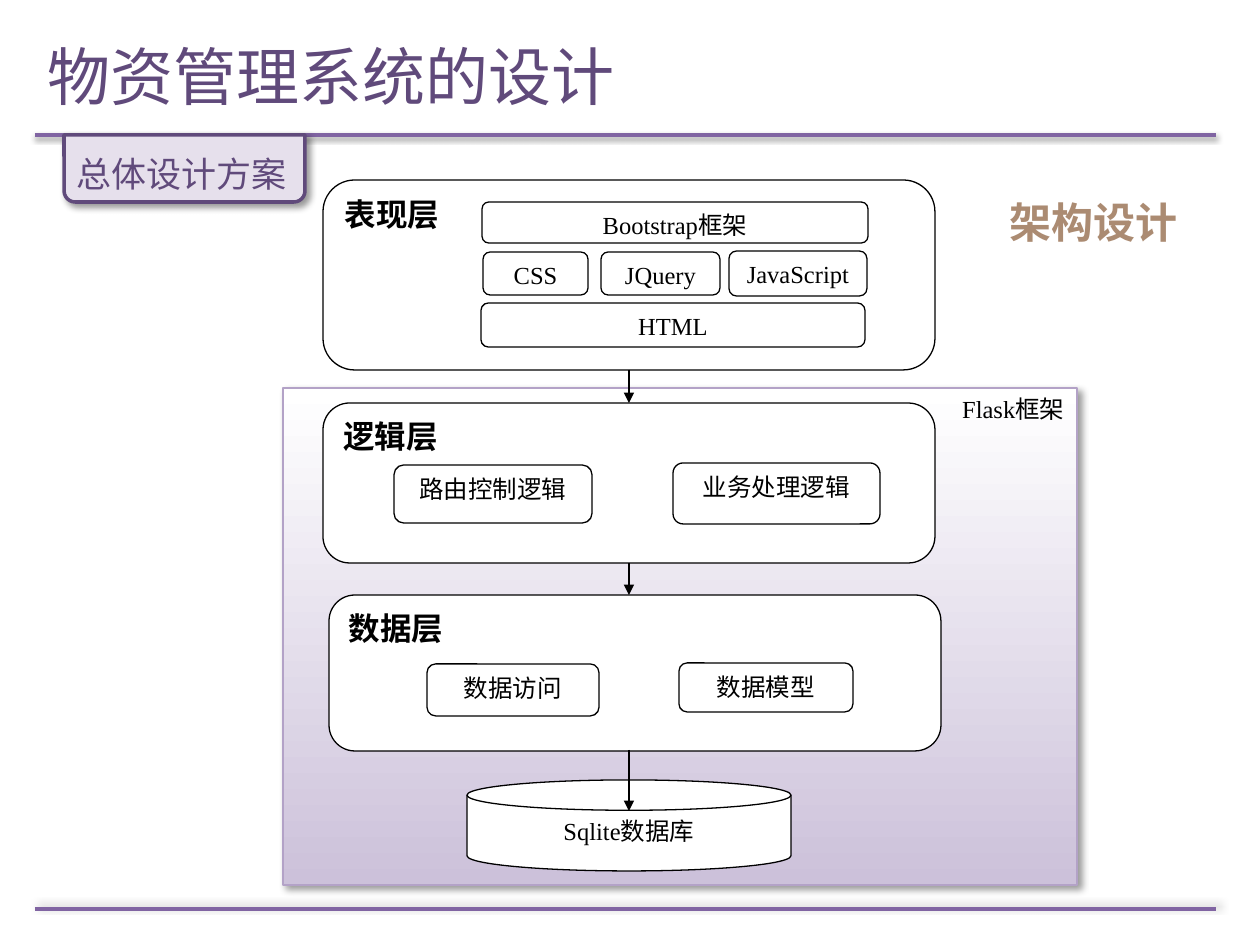
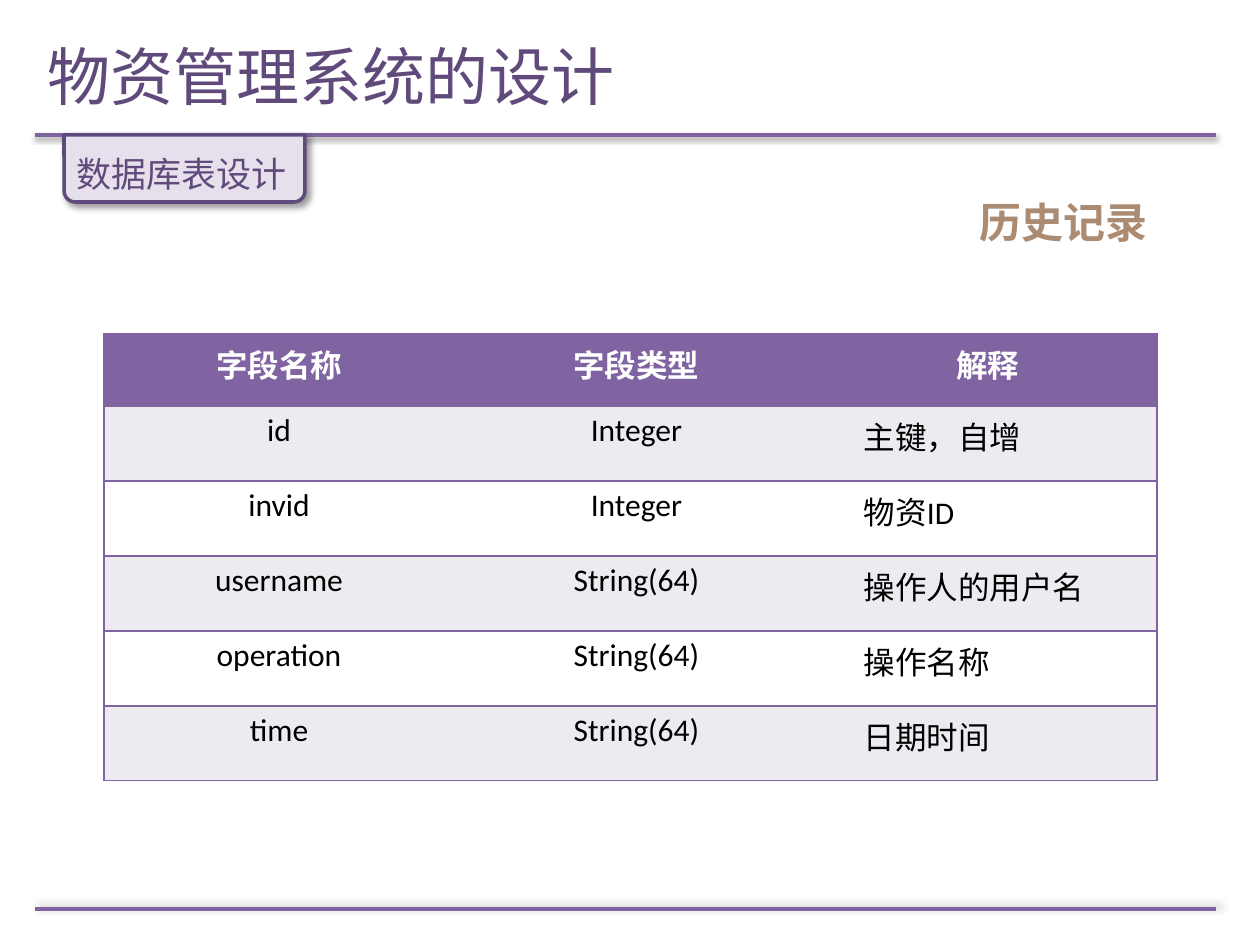
from lxml.etree import SubElement
from pptx import Presentation
from pptx.dml.color import RGBColor
from pptx.enum.shapes import MSO_CONNECTOR, MSO_SHAPE
from pptx.enum.text import MSO_ANCHOR, PP_ALIGN
from pptx.oxml.ns import qn
from pptx.util import Pt

EMU_PER_PX = 914400 / 126

PURPLE = RGBColor(0x80, 0x64, 0xA2)
DARK_PURPLE = RGBColor(0x60, 0x4A, 0x7B)
SOFT_PURPLE = RGBColor(0xB3, 0xA2, 0xC7)
LIGHT_PURPLE = RGBColor(0xCC, 0xC1, 0xDA)
PALE_PURPLE = RGBColor(0xE6, 0xE0, 0xEC)
BAND = RGBColor(0xED, 0xEA, 0xF0)
TAN = RGBColor(0xAB, 0x8B, 0x72)
BLACK = RGBColor(0, 0, 0)
WHITE = RGBColor(255, 255, 255)

CHINESE = "Noto Sans CJK SC"
SERIF = "Times New Roman"
SANS = "Calibri"

# Blur and distance in points, direction in degrees, opacity in percent
RULE_SHADOW = (3.1, 1.6, 90, 38)
FOOTER_SHADOW = (4, 3, 315, 40)
BOX_SHADOW = (4, 3, 45, 40)

FIELDS = [
    ("字段名称", "字段类型", "解释"),
    ("id", "Integer", "主键，自增"),
    ("invid", "Integer", "物资ID"),
    ("username", "String(64)", "操作人的用户名"),
    ("operation", "String(64)", "操作名称"),
    ("time", "String(64)", "日期时间"),
]


def px(length):
    return round(length * EMU_PER_PX)


def set_shadow(shape, shadow=None):
    """Replace the theme's shadow by the given one, or by none."""
    effects = SubElement(shape._element.spPr, qn("a:effectLst"))
    if shadow:
        blur, distance, direction, opacity = shadow
        outer = SubElement(effects, qn("a:outerShdw"), blurRad=str(Pt(blur)), dist=str(Pt(distance)),
                           dir=str(direction * 60000), algn="ctr", rotWithShape="0")
        color = SubElement(outer, qn("a:srgbClr"), val=str(BLACK))
        SubElement(color, qn("a:alpha"), val=str(opacity * 1000))


def set_border(cell, side, color):
    """Draw one side (L, R, T or B) of a cell; no colour means no line."""
    line = SubElement(cell._tc.get_or_add_tcPr(), qn(f"a:ln{side}"), w=str(Pt(1)))
    if color is None:
        SubElement(line, qn("a:noFill"))
    else:
        SubElement(SubElement(line, qn("a:solidFill")), qn("a:srgbClr"), val=str(color))


class Deck:
    def __init__(self):
        self.presentation = Presentation()
        self.presentation.slide_width = px(1260)
        self.presentation.slide_height = px(945)
        self.slide = None

    def add_slide(self, title, section, topic, topic_left):
        self.slide = self.presentation.slides.add_slide(self.presentation.slide_layouts[6])
        title_box = self.text(title, 35, 16, 1134, 118, 36, CHINESE, DARK_PURPLE)
        title_box.text_frame.vertical_anchor = MSO_ANCHOR.MIDDLE
        for y, shadow in ((135, RULE_SHADOW), (909, FOOTER_SHADOW)):
            self.line(35, y, 1216, y, PURPLE, 2, shadow)
        tab = self.box(MSO_SHAPE.ROUND_2_SAME_RECTANGLE, 64, 135, 241, 67,
                       PALE_PURPLE, DARK_PURPLE, 2, BOX_SHADOW)
        tab.rotation = 180
        section_box = self.text(section, 64, 125, 292, 77, 20, "Arial", DARK_PURPLE)
        section_box.text_frame.paragraphs[0].line_spacing = 1.5
        self.text(topic, topic_left, 190, 250, 63, 24, SANS, TAN, bold=True)

    def set_text(self, text_frame, text, size, font_name, color, bold=False, align=PP_ALIGN.LEFT):
        text_frame.text = text
        text_frame.word_wrap = True
        paragraph = text_frame.paragraphs[0]
        paragraph.alignment = align
        font = paragraph.font
        font.size, font.name, font.bold = Pt(size), font_name, bold
        font.color.rgb = color
        SubElement(paragraph._p.pPr.find(qn("a:defRPr")), qn("a:ea"), typeface=CHINESE)
        return paragraph

    def text(self, text, left, top, width, height, size, font_name, color, bold=False):
        text_box = self.slide.shapes.add_textbox(px(left), px(top), px(width), px(height))
        self.set_text(text_box.text_frame, text, size, font_name, color, bold)
        return text_box

    def box(self, preset, left, top, width, height,
            fill=WHITE, line=BLACK, line_width=0.75, shadow=None):
        shape = self.slide.shapes.add_shape(preset, px(left), px(top), px(width), px(height))
        shape.fill.solid()
        shape.fill.fore_color.rgb = fill
        shape.line.color.rgb = line
        shape.line.width = Pt(line_width)
        set_shadow(shape, shadow)
        return shape

    def label(self, shape, text, size=14, bold=False, align=PP_ALIGN.CENTER):
        self.set_text(shape.text_frame, text, size, SERIF, BLACK, bold, align)
        shape.text_frame.vertical_anchor = MSO_ANCHOR.TOP

    def framework(self, text, left, top, width, height):
        """Add the shaded panel that holds the layers run by one framework."""
        panel = self.box(MSO_SHAPE.RECTANGLE, left, top, width, height,
                         line=SOFT_PURPLE, line_width=1, shadow=BOX_SHADOW)
        panel.fill.gradient()
        panel.fill.gradient_angle = 270
        for stop, position, color in zip(panel.fill.gradient_stops, (0, 1), (WHITE, LIGHT_PURPLE)):
            stop.position = position
            stop.color.rgb = color
        self.label(panel, text, align=PP_ALIGN.RIGHT)

    def layer(self, text, left, top, height):
        shape = self.box(MSO_SHAPE.ROUNDED_RECTANGLE, left, top, 612, height)
        self.label(shape, text, 18, True, PP_ALIGN.JUSTIFY)
        return shape

    def module(self, text, left, top, width, height):
        self.label(self.box(MSO_SHAPE.ROUNDED_RECTANGLE, left, top, width, height), text)

    def line(self, x1, y1, x2, y2, color, width, shadow=None):
        connector = self.slide.shapes.add_connector(
            MSO_CONNECTOR.STRAIGHT, px(x1), px(y1), px(x2), px(y2))
        connector.line.color.rgb = color
        connector.line.width = Pt(width)
        set_shadow(connector, shadow)
        return connector

    def arrow(self, x, top, bottom):
        connector = self.line(x, top, x, bottom, BLACK, 0.75)
        SubElement(connector._element.spPr.find(qn("a:ln")), qn("a:tailEnd"), type="triangle")
        return connector

    def table(self, rows, left, top, column_widths, row_heights):
        table = self.slide.shapes.add_table(
            len(rows), len(column_widths), px(left), px(top),
            px(sum(column_widths)), px(sum(row_heights))).table
        table.horz_banding = False
        for column, width in zip(table.columns, column_widths):
            column.width = px(width)
        for row, height in zip(table.rows, row_heights):
            row.height = px(height)
        last = len(column_widths) - 1
        for i, texts in enumerate(rows):
            header = i == 0
            fill = PURPLE if header else BAND if i % 2 else WHITE
            for j, text in enumerate(texts):
                cell = table.cell(i, j)
                set_border(cell, "L", PURPLE if j == 0 else None)
                set_border(cell, "R", PURPLE if j == last else None)
                set_border(cell, "T", PURPLE)
                set_border(cell, "B", PURPLE)
                cell.fill.solid()
                cell.fill.fore_color.rgb = fill
                cell.margin_left = cell.margin_right = px(9)
                cell.margin_top = cell.margin_bottom = 0
                explanation = j == last and not header
                paragraph = self.set_text(
                    cell.text_frame, text, 18, SANS, WHITE if header else BLACK, header,
                    PP_ALIGN.JUSTIFY if explanation else PP_ALIGN.CENTER)
                paragraph.line_spacing = 1.15
                paragraph.space_after = Pt(6)
                if explanation:
                    paragraph._p.pPr.set("marL", str(px(36)))


def add_architecture(deck):
    deck.add_slide("物资管理系统的设计", "总体设计方案", "架构设计", 997)
    deck.framework("Flask框架", 283, 388, 794, 497)
    view_layer = deck.layer("表现层", 323, 180, 190)
    logic_layer = deck.layer("逻辑层", 323, 403, 160)
    deck.layer("数据层", 329, 595, 156)
    for module in (
        ("Bootstrap框架", 482, 202, 386, 41),
        ("CSS", 483, 252, 105, 43),
        ("JQuery", 601, 252, 119, 43),
        ("JavaScript", 729, 251, 138, 45),
        ("HTML", 481, 303, 384, 44),
        ("路由控制逻辑", 394, 465, 198, 58),
        ("业务处理逻辑", 673, 463, 207, 61),
        ("数据访问", 427, 664, 172, 52),
        ("数据模型", 679, 663, 174, 49),
    ):
        deck.module(*module)
    database = deck.box(MSO_SHAPE.FLOWCHART_MAGNETIC_DISK, 467, 780, 324, 91)
    deck.label(database, "Sqlite数据库")
    view_to_logic = deck.arrow(629, 370, 403)
    view_to_logic.begin_connect(view_layer, 2)
    view_to_logic.end_connect(logic_layer, 0)
    logic_to_data = deck.arrow(629, 563, 595)
    logic_to_data.begin_connect(logic_layer, 2)
    deck.arrow(629, 750, 811)


def add_history_table(deck):
    deck.add_slide("物资管理系统的设计", "数据库表设计", "历史记录", 967)
    deck.table(FIELDS, 104, 334, (350, 365, 338), [72] + [75] * 5)


def main():
    deck = Deck()
    add_architecture(deck)
    add_history_table(deck)
    deck.presentation.save("out.pptx")


if __name__ == "__main__":
    main()
